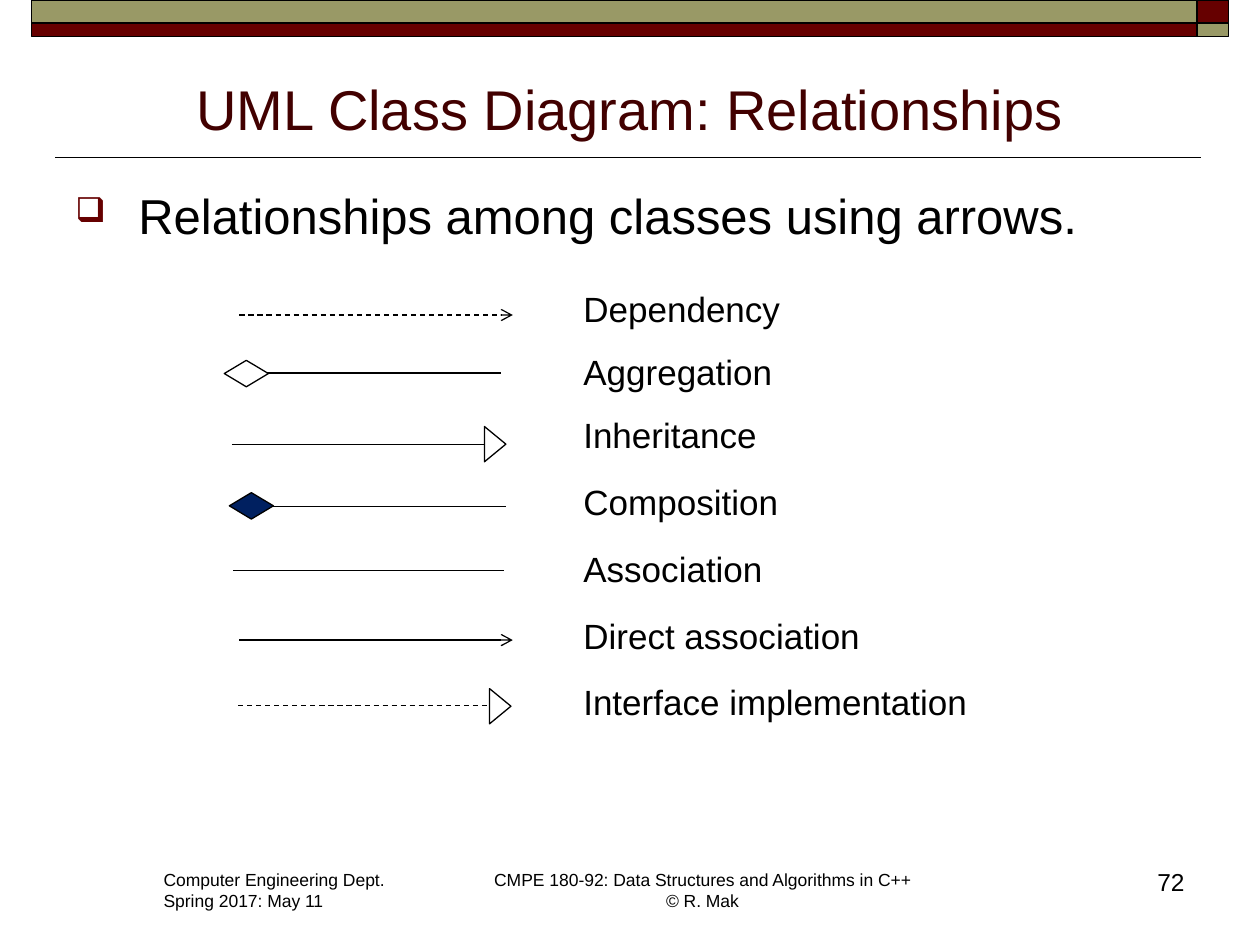
from dataclasses import dataclass

from lxml import etree
from pptx import Presentation
from pptx import util as u
from pptx.dml.color import RGBColor
from pptx.enum import dml, shapes, text
from pptx.oxml.ns import qn


@dataclass(frozen=True)
class Theme:
    font: str = "Arial"
    black: str = "000000"
    white: str = "FFFFFF"
    title: str = "420000"
    maroon: str = "660000"
    olive: str = "999966"
    navy: str = "002060"
    title_size: float = 32
    body_size: float = 28
    label_size: float = 20
    number_size: float = 14
    footer_size: float = 10
    rule_width: float = 1
    arrow_width: float = 0.75


THEME = Theme()

# label, line y, line start x, line end x, dashed, open arrowhead
RELATIONSHIPS = [
    ("Dependency", 2.5, 1.9, 4.07, True, True),
    ("Aggregation", 2.96, 2.12, 3.98, False, False),
    ("Inheritance", 3.53, 1.84, 3.85, False, False),
    ("Composition", 4.02, 2.16, 4.02, False, False),
    ("Association", 4.53, 1.85, 4, False, False),
    ("Direct association", 5.08, 1.9, 4.07, False, True),
    ("Interface implementation", 5.6, 1.89, 3.89, True, False),
]


def inches(*lengths):
    return [u.Inches(length) for length in lengths]


def color(value):
    return RGBColor.from_string(value)


def format_font(font, size, value=THEME.black):
    font.name = THEME.font
    font.size = u.Pt(size)
    font.bold = False
    font.color.rgb = color(value)


def add_bullet(paragraph):
    properties = paragraph._p.get_or_add_pPr()
    properties.set("marL", str(u.Inches(0.5)))
    properties.set("indent", str(-u.Inches(0.5)))
    bullet_color = etree.SubElement(properties, qn("a:buClr"))
    etree.SubElement(bullet_color, qn("a:srgbClr"), val=THEME.maroon)
    etree.SubElement(properties, qn("a:buSzPct"), val="70000")
    etree.SubElement(properties, qn("a:buChar"), char="❑")


def add_text(slide, content, box, size, value=THEME.black, align=text.PP_ALIGN.LEFT,
             anchor=text.MSO_ANCHOR.TOP, wrap=True, bullet=False):
    frame = slide.shapes.add_textbox(*inches(*box)).text_frame
    frame.word_wrap = wrap
    frame.vertical_anchor = anchor
    frame.text = content
    for paragraph in frame.paragraphs:
        if bullet:
            add_bullet(paragraph)
        paragraph.alignment = align
        format_font(paragraph.font, size, value)


def add_outlined_shape(slide, kind, box, fill=None, width=THEME.arrow_width, rotation=0):
    shape = slide.shapes.add_shape(kind, *inches(*box))
    shape.shadow.inherit = False
    shape.rotation = rotation
    if fill:
        shape.fill.solid()
        shape.fill.fore_color.rgb = color(fill)
    else:
        shape.fill.background()
    shape.line.color.rgb = color(THEME.black)
    shape.line.width = u.Pt(width)


def add_line(slide, left, right, y, width=THEME.arrow_width, dashed=False, arrow=False):
    connector = slide.shapes.add_connector(
        shapes.MSO_CONNECTOR.STRAIGHT, *inches(left, y, right, y))
    connector.line.color.rgb = color(THEME.black)
    connector.line.width = u.Pt(width)
    if dashed:
        connector.line.dash_style = dml.MSO_LINE.DASH
    if arrow:
        etree.SubElement(connector.line._get_or_add_ln(), qn("a:tailEnd"), type="arrow")
    etree.SubElement(connector._element.spPr, qn("a:effectLst"))


def add_header(slide):
    add_line(slide, 0.44, 9.53, 1.25, width=THEME.rule_width)
    bands = [(0, 0.18, THEME.olive, THEME.maroon), (0.18, 0.11, THEME.maroon, THEME.olive)]
    for top, height, bar, corner in bands:
        for left, width, fill in [(0.25, 9.25, bar), (9.5, 0.25, corner)]:
            add_outlined_shape(slide, shapes.MSO_SHAPE.RECTANGLE,
                               (left, top, width, height), fill, THEME.rule_width)


def add_label_table(slide):
    table = slide.shapes.add_table(
        len(RELATIONSHIPS), 2, *inches(1.65, 2.25, 6.75, 3.67)).table
    table.first_row = table.horz_banding = False
    for column, width in zip(table.columns, (2.92, 3.83)):
        column.width = u.Inches(width)
    for index, row in enumerate(table.rows):
        row.height = u.Inches(0.5 if index < 2 else 0.53)
        for cell in row.cells:
            cell.fill.solid()
            cell.fill.fore_color.rgb = color(THEME.white)
        label = row.cells[1]
        label.margin_left = label.margin_right = u.Inches(0.06)
        label.margin_top = label.margin_bottom = u.Inches(0.06)
        label.text = RELATIONSHIPS[index][0]
        format_font(label.text_frame.paragraphs[0].font, THEME.label_size)


def add_arrows(slide):
    for _, y, left, right, dashed, arrow in RELATIONSHIPS:
        add_line(slide, left, right, y, dashed=dashed, arrow=arrow)
    for left, top, fill in [(1.78, 2.86, None), (1.82, 3.91, THEME.navy)]:
        add_outlined_shape(slide, shapes.MSO_SHAPE.DIAMOND, (left, top, 0.35, 0.21), fill)
    for left, top in [(3.79, 3.44), (3.83, 5.52)]:
        add_outlined_shape(slide, shapes.MSO_SHAPE.ISOSCELES_TRIANGLE,
                           (left, top, 0.28, 0.17), rotation=90)


def add_footer(slide):
    add_text(slide, "Computer Engineering Dept.\nSpring 2017: May 11",
             (1.2, 6.85, 1.98, 0.44), THEME.footer_size, wrap=False)
    add_text(slide, "CMPE 180-92: Data Structures and Algorithms in C++\v© R. Mak",
             (3.8, 6.85, 3.55, 0.44), THEME.footer_size,
             align=text.PP_ALIGN.CENTER, wrap=False)
    add_text(slide, "72", (7.42, 6.83, 2.08, 0.5), THEME.number_size,
             align=text.PP_ALIGN.RIGHT)


def main():
    presentation = Presentation()
    presentation.slide_width, presentation.slide_height = inches(10, 7.5)
    slide = presentation.slides.add_slide(presentation.slide_layouts[6])
    add_header(slide)
    add_text(slide, "UML Class Diagram: Relationships", (0.5, 0.45, 9, 0.72),
             THEME.title_size, THEME.title, text.PP_ALIGN.CENTER, text.MSO_ANCHOR.BOTTOM)
    add_text(slide, "Relationships among classes using arrows.", (0.5, 1.42, 9, 5.29),
             THEME.body_size, bullet=True)
    add_label_table(slide)
    add_arrows(slide)
    add_footer(slide)
    presentation.save("out.pptx")


if __name__ == "__main__":
    main()
